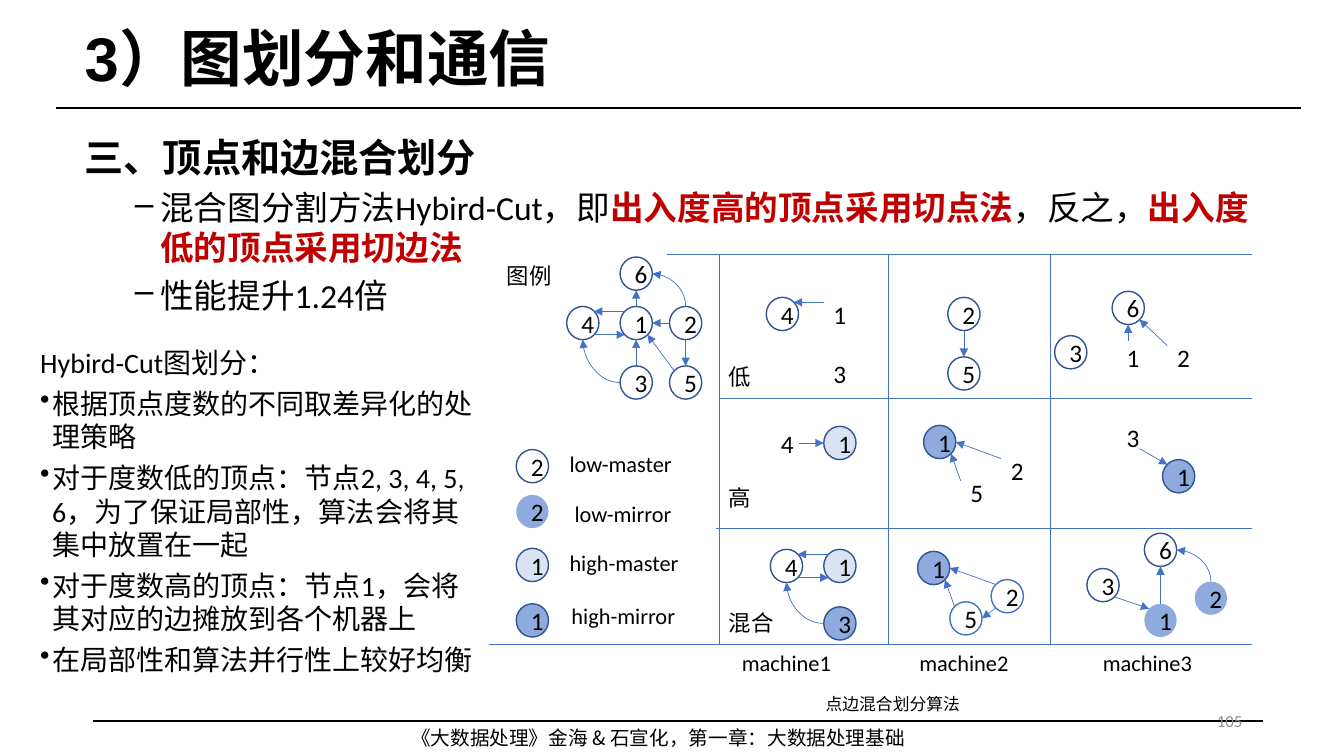
from pptx import Presentation
from pptx.dml.color import RGBColor
from pptx.enum.shapes import MSO_CONNECTOR, MSO_SHAPE
from pptx.enum.text import MSO_ANCHOR, MSO_AUTO_SIZE, PP_ALIGN
from pptx.oxml.ns import qn
from pptx.util import Inches, Pt

STRAIGHT, CURVE = MSO_CONNECTOR.STRAIGHT, MSO_CONNECTOR.CURVE
ELLIPSE = MSO_SHAPE.OVAL
TOP, MIDDLE = MSO_ANCHOR.TOP, MSO_ANCHOR.MIDDLE
LEFT, CENTER, RIGHT = PP_ALIGN.LEFT, PP_ALIGN.CENTER, PP_ALIGN.RIGHT
NO_FIT = MSO_AUTO_SIZE.NONE

COLORS = {"ink": "000000", "accent": "C00000", "edge": "4472C4", "outline": "325491",
          "master": "DAE3F3", "mirror": "8FAADC", "number": "8C8C8C"}
SANS, CJK = "Calibri", "Noto Sans CJK SC"

STYLES = {"plain": (None, None), "low-master": (None, "outline"), "low-mirror": ("mirror", None),
          "high-master": ("master", "outline"), "high-mirror": ("mirror", "outline"),
          "moved": (None, "edge")}
NODE_WIDTH, NODE_HEIGHT = 0.32, 0.33
PORTS = {"n": (0.5, 0), "ne": (0.85, 0.15), "e": (1, 0.5), "se": (0.85, 0.85),
         "s": (0.5, 1), "sw": (0.15, 0.85), "w": (0, 0.5), "nw": (0.15, 0.15)}

COLUMNS = [7.13, 8.81, 10.42, 12.42]
ROWS = [2.52, 3.95, 5.24, 6.39]
LEGEND_LEFT = 4.85

LEGEND_GRAPH = (
    [("6", 1.3, 0.03, "low-master"), ("4", 0.77, 0.52, "low-master"), ("1", 1.3, 0.52, "low-master"),
     ("2", 1.79, 0.52, "low-master"), ("3", 1.3, 1.11, "low-master"), ("5", 1.79, 1.11, "low-master")],
    ["2 n ~ 6 e", "3 w ~ 4 s", "1 n - 6 s", "1 nw - 4 ne", "4 se - 1 sw", "3 n - 1 s",
     "2 w - 1 e", "2 s - 5 n", "5 nw - 1 se"])

CELL_GRAPHS = [
    [([("4", 0.47, 0.43, "low-master"), ("1", 0.99, 0.43, "plain"), ("3", 0.99, 1.02, "plain")],
      ["1 nw - 4 ne"]),
     ([("2", 0.59, 0.43, "low-master"), ("5", 0.59, 1.02, "low-master")], ["2 s - 5 n"]),
     ([("6", 0.61, 0.37, "low-master"), ("1", 0.61, 0.86, "plain"), ("2", 1.11, 0.86, "plain"),
       ("3", 0.04, 0.81, "low-master")], ["1 n - 6 s", "2 nw - 6 se"])],
    [([("4", 0.47, 0.28, "plain"), ("1", 1.04, 0.28, "high-master")], ["4 e - 1 w"]),
     ([("1", 0.35, 0.27, "high-mirror"), ("2", 1.07, 0.55, "plain"), ("5", 0.67, 0.77, "plain")],
      ["5 nw - 1 se", "2 nw - 1 e"]),
     ([("3", 0.61, 0.22, "plain"), ("1", 1.11, 0.61, "high-mirror")], ["3 se - 1 nw"])],
    [([("4", 0.51, 0.21, "low-master"), ("1", 1.04, 0.21, "high-master"),
       ("3", 1.04, 0.78, "high-mirror")], ["1 nw - 4 ne", "4 se - 1 sw", "3 w ~ 4 s"]),
     ([("1", 0.29, 0.23, "high-mirror"), ("2", 1.02, 0.51, "moved"), ("5", 0.61, 0.73, "moved")],
      ["5 nw - 1 se", "2 nw - 1 e", "2 sw - 5 e"]),
     ([("6", 0.93, 0.05, "low-master"), ("1", 0.93, 0.75, "low-mirror"),
       ("2", 1.43, 0.53, "low-mirror"), ("3", 0.36, 0.4, "low-master")],
      ["1 n - 6 s", "3 se - 1 nw", "2 n ~ 6 e"])],
]


def add_span(para, text, size, color="ink", bold=False, font=SANS):
    """Append one formatted run to a paragraph."""
    span = para.add_run()
    span.text = text
    span.font.size, span.font.bold, span.font.name = Pt(size), bold, font
    span.font.color.rgb = RGBColor.from_string(COLORS[color])
    span.font._element.get_or_add_latin().addnext(
        span.font._element.makeelement(qn("a:ea"), {"typeface": font}))


def add_box(page, left, top, width, height, wrap=True, anchor=TOP):
    """Add an empty text box and return its text frame."""
    frame = page.shapes.add_textbox(*map(Inches, (left, top, width, height))).text_frame
    frame.word_wrap, frame.vertical_anchor = wrap, anchor
    return frame


def add_label(page, left, top, width, text, size=16, font=SANS):
    """Add a one-line label."""
    frame = add_box(page, left, top, width, 0.37 if size > 12 else 0.3, wrap=False)
    add_span(frame.paragraphs[0], text, size, font=font)


def add_line(page, start, end, color="edge", width=0.5, arrow=None, kind=STRAIGHT):
    """Draw a connector, with an arrowhead at the named end if given."""
    line = page.shapes.add_connector(kind, *map(Inches, (*start, *end)))
    line.line.color.rgb = RGBColor.from_string(COLORS[color])
    line.line.width = Pt(width)
    properties = line._element.spPr
    if kind == CURVE:
        properties.find(qn("a:prstGeom")).set("prst", "curvedConnector2")
    if arrow:
        outline = line.line._get_or_add_ln()
        outline.append(outline.makeelement(qn(arrow), {"type": "triangle"}))
    properties.append(properties.makeelement(qn("a:effectLst"), {}))


def add_node(page, left, top, label, style):
    """Draw one vertex in the given style."""
    node = page.shapes.add_shape(ELLIPSE, *map(Inches, (left, top, NODE_WIDTH, NODE_HEIGHT)))
    node.shadow.inherit = False
    fill, outline = STYLES[style]
    if fill:
        node.fill.solid()
        node.fill.fore_color.rgb = RGBColor.from_string(COLORS[fill])
    else:
        node.fill.background()
    if outline:
        node.line.color.rgb = RGBColor.from_string(COLORS[outline])
        node.line.width = Pt(1)
    else:
        node.line.fill.background()
    node.text_frame.vertical_anchor = MIDDLE
    para = node.text_frame.paragraphs[0]
    para.alignment = CENTER
    add_span(para, label, 18)


def draw_graph(page, left, top, nodes, edges):
    """Draw vertices and the edges between their ports from a box corner."""
    corners = {}
    for label, across, down, style in nodes:
        corners[label] = (left + across, top + down)
        add_node(page, *corners[label], label, style)

    def port(label, side):
        """Return the point on the side of a vertex."""
        return (corners[label][0] + PORTS[side][0] * NODE_WIDTH,
                corners[label][1] + PORTS[side][1] * NODE_HEIGHT)

    for edge in edges:
        source, exit_side, mark, target, entry_side = edge.split()
        start, end, arrow = port(source, exit_side), port(target, entry_side), "a:tailEnd"
        if mark == "~" and exit_side == "n":
            start, end, arrow = end, start, "a:headEnd"
        add_line(page, start, end, arrow=arrow, kind=CURVE if mark == "~" else STRAIGHT)


def draw_legend(page, left, top):
    """Draw the example graph and the key of vertex styles."""
    add_label(page, left + 0.08, top + 0.03, 0.64, "图例")
    draw_graph(page, left, top, *LEGEND_GRAPH)
    keys = [("2", 1.94, "low-master", 0.7, 1.9, 1.22), ("2", 2.39, "low-mirror", 0.75, 2.39, 1.17),
            ("1", 2.92, "high-master", 0.7, 2.88, 1.28), ("1", 3.47, "high-mirror", 0.72, 3.4, 1.23)]
    for label, down, style, text_left, text_top, width in keys:
        add_node(page, left + 0.27, top + down, label, style)
        add_label(page, left + text_left, top + text_top, width, style)


def draw_partition_grid(page, columns, rows):
    """Draw the machine by degree grid with its graphs and labels."""
    right, bottom = columns[-1], rows[-1]
    for start, row in zip((6.62, columns[0], 7.1, LEGEND_LEFT), rows):
        add_line(page, (start, row), (right, row))
    for column in columns[:-1]:
        add_line(page, (column, rows[0]), (column, bottom))
    for row, graphs in zip(rows, CELL_GRAPHS):
        for column, graph in zip(columns, graphs):
            draw_graph(page, column, row, *graph)
    for text, top, width in (("低", 3.55, 0.42), ("高", 4.75, 0.42), ("混合", 5.99, 0.64)):
        add_label(page, columns[0], top, width, text)
    for number, (column, shift) in enumerate(zip(columns, (0.13, 0.21, 0.42)), 1):
        add_label(page, column + shift, bottom, 1.08, f"machine{number}")
    add_label(page, 8.09, bottom + 0.44, 1.55, "点边混合划分算法", 12, CJK)


def write_list(page, box, entries, size, bullet, margin, hang):
    """Write a heading and bulleted paragraphs made of (text, color, bold) runs."""
    frame = add_box(page, *box)
    for index, (spans, heading_size) in enumerate(entries):
        para = frame.add_paragraph() if index else frame.paragraphs[0]
        if index:
            properties = para._p.get_or_add_pPr()
            properties.set("marL", str(Inches(margin)))
            properties.set("indent", str(-Inches(hang)))
            properties.append(properties.makeelement(qn("a:buChar"), {"char": bullet}))
            para.space_before = Pt(5)
        for text, color, bold in spans:
            add_span(para, text, heading_size or size, color, bold)


def write_frame(page):
    """Place the title, rules, footer and page number."""
    title = page.shapes.title
    title.left, title.top, title.width, title.height = map(Inches, (0.74, 0.15, 11.95, 0.92))
    title.text_frame.word_wrap, title.text_frame.auto_size = True, NO_FIT
    title.text_frame.vertical_anchor = MIDDLE
    para = title.text_frame.paragraphs[0]
    para.alignment, para.line_spacing = LEFT, 0.9
    add_span(para, "3）图划分和通信", 44, bold=True, font="Arial")
    add_line(page, (0.56, 1.07), (12.9, 1.07), "ink", 1.75)
    add_line(page, (0.92, 7.15), (12.53, 7.15), "ink", 1.25)
    footer = add_box(page, 3.98, 7.15, 5.37, 0.34)
    add_span(footer.paragraphs[0], "《大数据处理》金海 & 石宣化，第一章：大数据处理基础", 14, font=CJK)
    number = add_box(page, 9.42, 6.95, 3, 0.4, anchor=MIDDLE).paragraphs[0]
    number.alignment = RIGHT
    add_span(number, "105", 12, "number")


def main():
    """Build and save the slide."""
    deck = Presentation()
    deck.slide_width, deck.slide_height = Inches(13.33), Inches(7.5)
    page = deck.slides.add_slide(deck.slide_layouts[5])
    write_frame(page)
    write_list(page, (0.74, 1.27, 11.95, 2.32), [
        ([("三、顶点和边混合划分", "ink", True)], 28),
        ([("混合图分割方法Hybird-Cut，即", "ink", False), ("出入度高的顶点采用切点法", "accent", True),
          ("，反之，", "ink", False), ("出入度低的顶点采用切边法", "accent", True)], None),
        ([("性能提升1.24倍", "ink", False)], None)], 24, "–", 0.75, 0.25)
    draw_legend(page, LEGEND_LEFT, ROWS[0])
    draw_partition_grid(page, COLUMNS, ROWS)
    strategy = ["Hybird-Cut图划分：", "根据顶点度数的不同取差异化的处理策略",
                "对于度数低的顶点：节点2, 3, 4, 5, 6，为了保证局部性，算法会将其集中放置在一起",
                "对于度数高的顶点：节点1，会将其对应的边摊放到各个机器上", "在局部性和算法并行性上较好均衡"]
    write_list(page, (0.3, 3.38, 4.6, 3.87), [([(text, "ink", False)], None) for text in strategy],
               20, "•", 0.12, 0.12)
    deck.save("out.pptx")


if __name__ == "__main__":
    main()
